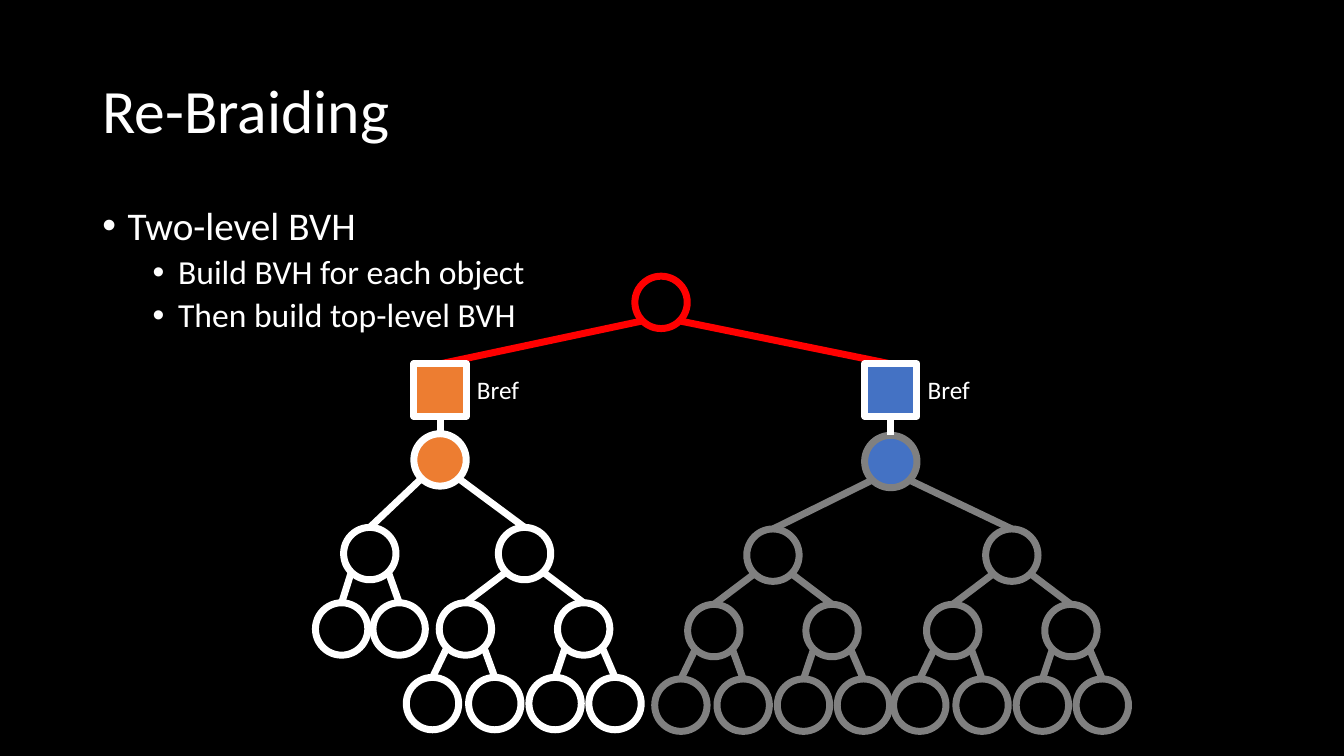
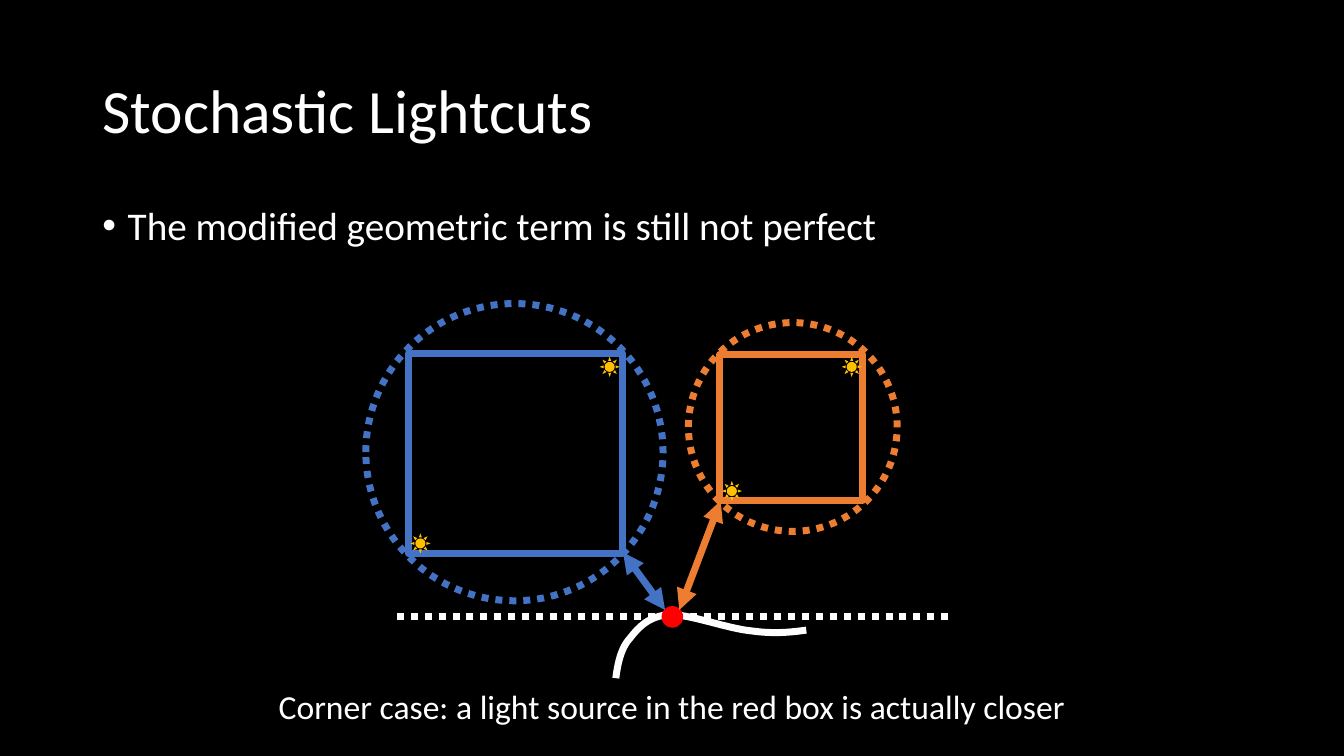
import dataclasses
import math

import lxml.etree
import pptx
import pptx.dml.color
import pptx.enum.dml
import pptx.enum.shapes
import pptx.enum.text
import pptx.oxml.ns
import pptx.shapes.connector
import pptx.util

Cm = pptx.util.Cm
Pt = pptx.util.Pt
RGB = pptx.dml.color.RGBColor.from_string
SHAPE = pptx.enum.shapes.MSO_SHAPE
STRAIGHT = pptx.enum.shapes.MSO_CONNECTOR.STRAIGHT
ALIGN = pptx.enum.text.PP_ALIGN
ANCHOR = pptx.enum.text.MSO_ANCHOR
DOTTED = pptx.enum.dml.MSO_LINE.ROUND_DOT
qn = pptx.oxml.ns.qn


@dataclasses.dataclass(frozen=True)
class Theme:
    font: str = "Calibri"
    background: str = "000000"
    white: str = "FFFFFF"
    grey: str = "808080"
    red: str = "FF0000"
    blue: str = "4472C4"
    orange: str = "ED7D31"
    sun: str = "FFC000"
    title_size: int = 44
    bullet_sizes: tuple = (28, 24)
    caption_size: int = 24
    label_size: int = 18
    line_width: int = 5


theme = Theme()


def add_text(slide, lines, *, box, size=None, bullets=False, align=ALIGN.LEFT,
             anchor=ANCHOR.TOP, wrap=True, spacing=1.0):
    """Add a text box; lines holds (text, level) pairs."""
    frame = slide.shapes.add_textbox(*map(Cm, box)).text_frame
    frame.word_wrap = wrap
    frame.vertical_anchor = anchor
    for index, (text, level) in enumerate(lines):
        paragraph = frame.add_paragraph() if index else frame.paragraphs[0]
        paragraph.text = text
        paragraph.level = level
        paragraph.alignment = align
        paragraph.line_spacing = spacing
        paragraph.space_before = Pt((10, 5)[level] if index else 0)
        if bullets:
            properties = paragraph._p.get_or_add_pPr()
            properties.set("marL", str(Cm(0.64 + 1.27 * level)))
            properties.set("indent", str(-Cm(0.64)))
            lxml.etree.SubElement(properties, qn("a:buFont"), typeface="Arial")
            lxml.etree.SubElement(properties, qn("a:buChar"), char="•")
        paragraph.font.name = theme.font
        paragraph.font.size = Pt(size or theme.bullet_sizes[level])
        paragraph.font.color.rgb = RGB(theme.white)


def style(shape, color=None, *, fill=None, width=theme.line_width, dash=None, arrows=False):
    """Set line, fill and arrowheads of a shape or connector, without shadow."""
    if color:
        shape.line.color.rgb = RGB(color)
        shape.line.width = Pt(width)
    else:
        shape.line.fill.background()
    if dash:
        shape.line.dash_style = dash
    if arrows:
        for end in ("a:headEnd", "a:tailEnd"):
            lxml.etree.SubElement(shape.line._get_or_add_ln(), qn(end), type="triangle")
    if isinstance(shape, pptx.shapes.connector.Connector):
        lxml.etree.SubElement(shape._element.spPr, qn("a:effectLst"))
        return
    shape.shadow.inherit = False
    if fill:
        shape.fill.solid()
        shape.fill.fore_color.rgb = RGB(fill)
    else:
        shape.fill.background()


# Presentation with a shared background
presentation = pptx.Presentation()
presentation.slide_width = Cm(33.87)
presentation.slide_height = Cm(19.05)
background = presentation.slide_master.background.fill
background.solid()
background.fore_color.rgb = RGB(theme.background)

# Titles and bullets
contents = [
    ("Re-Braiding", [("Two-level BVH", 0), ("Build BVH for each object", 1),
                     ("Then build top-level BVH", 1)]),
    ("Stochastic Lightcuts", [("The modified geometric term is still not perfect", 0)]),
]
slides = []
for title, bullet_lines in contents:
    slide = presentation.slides.add_slide(presentation.slide_layouts[6])
    add_text(slide, [(title, 0)], box=(2.33, 1.01, 29.21, 3.68), size=theme.title_size,
             anchor=ANCHOR.MIDDLE, spacing=0.9)
    add_text(slide, bullet_lines, box=(2.33, 5.07, 29.21, 12.09), bullets=True, spacing=0.9)
    slides.append(slide)
tree_slide, lights_slide = slides

# Trees: each node is (offset from its parent, children)
node_size = 1.32
radius = node_size / 2
diagonal = radius * math.sqrt(0.5)
level_drops = (2.36, 1.9, 1.88)
branch = [(-1.49, [(-0.83, []), (0.74, [])]),
          (1.49, [(-0.72, []), (0.79, [])])]
small_branch = [(-0.71, []), (0.74, [])]
square_top = 9.17
top_x, top_y = 16.66, 7.62
trees = [
    (11.09, 11.59, theme.orange, theme.white, [(-1.77, small_branch), (2.13, branch)]),
    (22.45, 11.63, theme.blue, theme.grey, [(-2.97, branch), (3.05, branch)]),
]

shapes = tree_slide.shapes
top_node = shapes.add_shape(SHAPE.OVAL, Cm(top_x - radius), Cm(top_y - radius),
                            Cm(node_size), Cm(node_size))
style(top_node, theme.red)

for root_x, root_y, fill, line, children in trees:
    # Nodes below the object root
    pending = [(root_x, root_y, 0, fill, children)]
    while pending:
        x, y, depth, node_fill, children = pending.pop()
        node = shapes.add_shape(SHAPE.OVAL, Cm(x - radius), Cm(y - radius),
                                Cm(node_size), Cm(node_size))
        style(node, line, fill=node_fill)
        for offset, grandchildren in children:
            child_y = y + level_drops[depth]
            edge = shapes.add_connector(
                STRAIGHT, Cm(x + math.copysign(diagonal, offset)), Cm(y + diagonal),
                Cm(x + offset), Cm(child_y - radius))
            style(edge, line)
            pending.append((x + offset, child_y, depth + 1, None, grandchildren))

    # Link from the top level, reference square and its label
    side = math.copysign(diagonal, root_x - top_x)
    style(shapes.add_connector(STRAIGHT, Cm(top_x + side), Cm(top_y + diagonal),
                               Cm(root_x), Cm(square_top)), theme.red)
    square = shapes.add_shape(SHAPE.RECTANGLE, Cm(root_x - radius), Cm(square_top),
                              Cm(node_size), Cm(node_size))
    style(square, theme.white, fill=fill)
    style(shapes.add_connector(STRAIGHT, Cm(root_x), Cm(square_top + node_size),
                               Cm(root_x), Cm(root_y - radius)), theme.white)
    add_text(tree_slide, [("Bref", 0)], box=(root_x + 0.68, 9.3, 1.57, 1.03),
             size=theme.label_size, wrap=False)

# Tangent line and surface curve, sampled from cubic segments
shapes = lights_slide.shapes
style(shapes.add_connector(STRAIGHT, Cm(23.9), Cm(15.54), Cm(9.88), Cm(15.54)),
      theme.white, dash=DOTTED)
curve = [(15.52, 17.09), (15.57, 16.71), (15.65, 16.33), (15.88, 16.08),
         (16.1, 15.8), (16.36, 15.52), (16.87, 15.49),
         (17.37, 15.47), (18.36, 15.85), (18.95, 15.9),
         (19.53, 15.98), (19.94, 15.93), (20.32, 15.88)]
steps = 16
points = []
for start in range(0, len(curve) - 1, 3):
    controls = curve[start:start + 4]
    for step in range(1, steps + 1):
        t = step / steps
        weights = [math.comb(3, k) * t ** k * (1 - t) ** (3 - k) for k in range(4)]
        points.append([Cm(sum(weight * control[axis]
                              for weight, control in zip(weights, controls)))
                       for axis in (0, 1)])
builder = shapes.build_freeform(*map(Cm, curve[0]))
builder.add_line_segments(points, close=False)
style(builder.convert_to_shape(), theme.white)

# Shading point
style(shapes.add_shape(SHAPE.OVAL, Cm(16.69), Cm(15.29), Cm(0.51), Cm(0.51)),
      theme.red, fill=theme.red, width=1)

# Light clusters: box, bounding circle, nearest distance, two lights
clusters = [
    (theme.blue, (10.29, 8.92, 5.41, 5.03), (9.22, 7.65, 7.49, 7.49),
     (15.7, 13.92, 16.76, 15.37), [(10.34, 13.44), (15.11, 8.99)]),
    (theme.orange, (18.14, 8.94, 3.61, 3.68), (17.35, 8.13, 5.26, 5.26),
     (18.16, 12.62, 17.12, 15.37), [(18.19, 12.12), (21.21, 8.99)]),
]
for color, box, circle, distance, lights in clusters:
    style(shapes.add_shape(SHAPE.RECTANGLE, *map(Cm, box)), color)
    style(shapes.add_connector(STRAIGHT, *map(Cm, distance)), color, arrows=True)
    for left, top in lights:
        style(shapes.add_shape(SHAPE.SUN, Cm(left), Cm(top), Cm(0.51), Cm(0.51)),
              fill=theme.sun)
    style(shapes.add_shape(SHAPE.OVAL, *map(Cm, circle)), color, dash=DOTTED)

# Caption
add_text(lights_slide, [("Corner case: a light source in the red box is actually closer", 0)],
         box=(6.68, 17.17, 20.5, 1.27), size=theme.caption_size, align=ALIGN.CENTER, wrap=False)

presentation.save("out.pptx")
